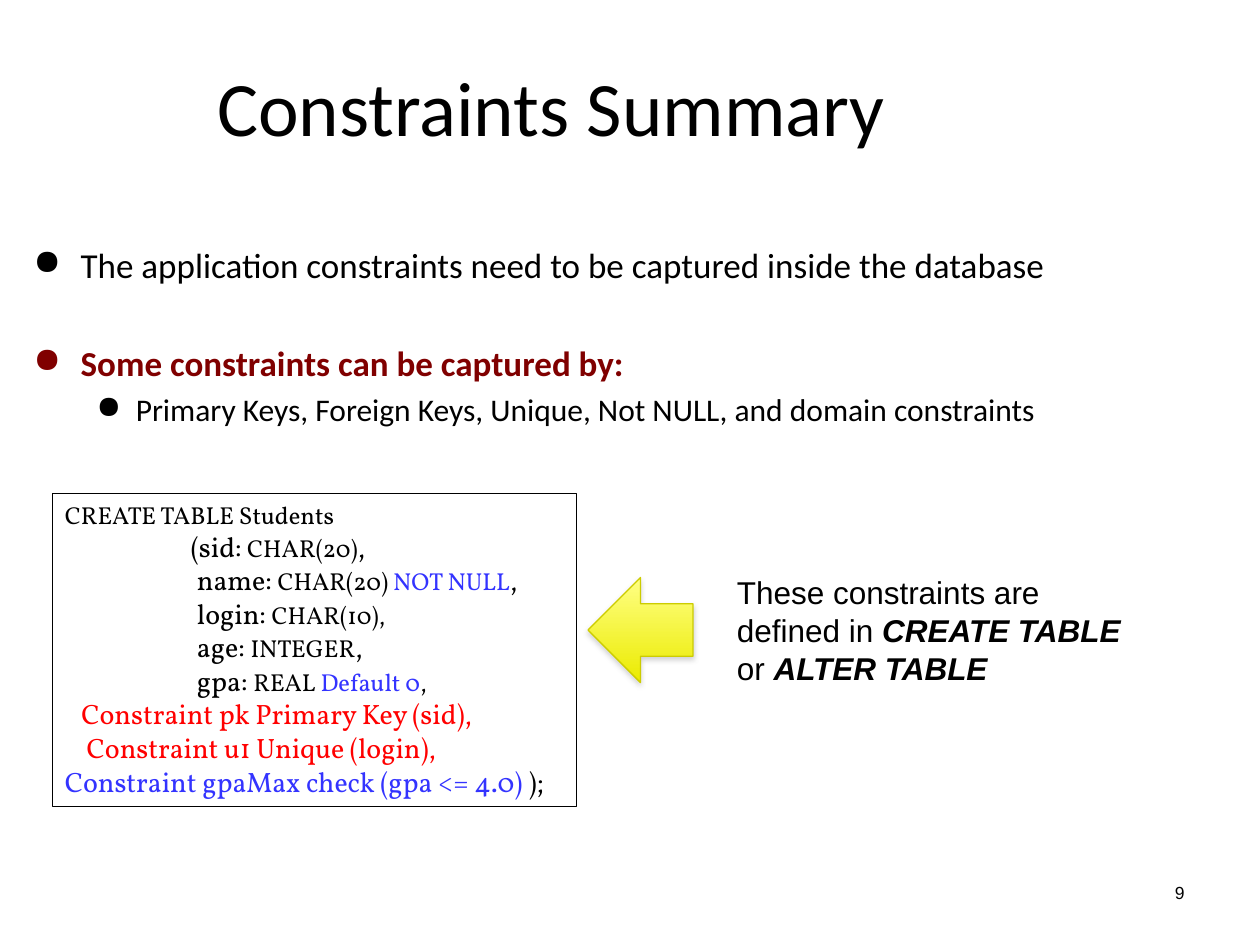
from dataclasses import dataclass

from lxml.etree import SubElement
from pptx import Presentation
from pptx.dml.color import RGBColor as Rgb
from pptx.enum.shapes import MSO_SHAPE as Shape
from pptx.enum.text import MSO_ANCHOR as Anchor, PP_ALIGN as Align
from pptx.oxml.ns import qn
from pptx.util import Pt


@dataclass(frozen=True)
class Theme:
    black: str = "000000"
    maroon: str = "800000"
    blue: str = "3333FF"
    red: str = "FF0000"
    pale: str = "FFFF85"
    gold: str = "EBEB00"
    edge: str = "CCCC00"
    shade: str = "808080"
    sans: str = "Calibri"
    plain: str = "Arial"
    serif: str = "Vollkorn"
    title: int = 44
    body: int = 20
    sub: int = 18
    code: int = 16
    small: int = 14
    page: int = 10


T = Theme()


def add_box(left, top, width, height, anchor=Anchor.TOP):
    box = slide.shapes.add_textbox(Pt(left), Pt(top), Pt(width), Pt(height))
    box.text_frame.word_wrap = True
    box.text_frame.vertical_anchor = anchor
    return box


def add_run(para, text, face, size, color=T.black, strong=False, slant=False):
    run = para.add_run()
    run.text = text
    font = run.font
    font.name, font.size = face, Pt(size)
    font.bold, font.italic = strong, slant
    font.color.rgb = Rgb.from_string(color)


deck = Presentation()
deck.slide_width, deck.slide_height = Pt(720), Pt(540)
slide = deck.slides.add_slide(deck.slide_layouts[6])

# Title and page number
labels = [
    ("Constraints Summary", (18, 9.5, 594, 102), T.sans, T.title, Align.CENTER),
    ("9", (516, 492, 168, 36), T.plain, T.page, Align.RIGHT),
]
for text, place, face, size, align in labels:
    para = add_box(*place, Anchor.MIDDLE).text_frame.paragraphs[0]
    para.alignment = align
    add_run(para, text, face, size)

# Bullets: text, level, margin, hang, space before, size, colour, bold
points = [
    ("The application constraints need to be captured inside the database",
     0, 27, 27, 2, T.body, T.black, False),
    ("Some constraints can be captured by:",
     0, 27, 27, 32, T.body, T.maroon, True),
    ("Primary Keys, Foreign Keys, Unique, Not NULL, and domain constraints",
     1, 58.5, 22.5, 4, T.sub, T.black, False),
]
frame = add_box(12, 135.5, 666, 152.5).text_frame
for i, (text, level, margin, hang, gap, size, color, strong) in enumerate(points):
    para = frame.add_paragraph() if i else frame.paragraphs[0]
    para.level, para.space_before = level, Pt(gap)
    props = para._p.get_or_add_pPr()
    props.set("marL", str(Pt(margin)))
    props.set("indent", str(-Pt(hang)))
    SubElement(props, qn("a:buChar"), char="●")
    add_run(para, text, T.sans, size, color, strong)

# SQL listing: left margin, then runs of text, size and colour
big, small = T.code, T.small
code = [
    (0, [("CREATE TABLE Students", small, T.black)]),
    (72, [("(sid: ", big, T.black), ("CHAR(20)", small, T.black),
          (",", big, T.black)]),
    (75.5, [("name: ", big, T.black), ("CHAR(20) ", small, T.black),
            ("NOT NULL", small, T.blue), (",", big, T.black)]),
    (75.5, [("login: ", big, T.black), ("CHAR(10),", small, T.black)]),
    (75.5, [("age: ", big, T.black), ("INTEGER", small, T.black),
            (",", big, T.black)]),
    (75.5, [("gpa: ", big, T.black), ("REAL ", small, T.black),
            ("Default 0", small, T.blue), (",", small, T.black)]),
    (9.5, [("Constraint pk Primary Key (sid),", big, T.red)]),
    (12.5, [("Constraint u1 Unique (login),", big, T.red)]),
    (0, [("Constraint gpaMax check (gpa <= 4.0) ", big, T.blue),
         (");", big, T.black)]),
]
panel = add_box(30, 282, 299.5, 179)
panel.line.color.rgb = Rgb.from_string(T.black)
panel.line.width = Pt(0.75)
frame = panel.text_frame
for i, (margin, runs) in enumerate(code):
    para = frame.add_paragraph() if i else frame.paragraphs[0]
    para._p.get_or_add_pPr().set("marL", str(Pt(margin)))
    for text, size, color in runs:
        add_run(para, text, T.serif, size, color)

# Arrow with a soft shadow
arrow = slide.shapes.add_shape(Shape.LEFT_ARROW, Pt(336), Pt(330), Pt(60), Pt(60))
arrow.fill.gradient()
arrow.fill.gradient_angle = 270
for stop, color, spot in zip(arrow.fill.gradient_stops, (T.pale, T.gold), (0, 1)):
    stop.color.rgb = Rgb.from_string(color)
    stop.position = spot
arrow.line.color.rgb = Rgb.from_string(T.edge)
arrow.line.width = Pt(0.75)
arrow.shadow.inherit = False
effects = arrow._element.spPr.find(qn("a:effectLst"))
shadow = SubElement(effects, qn("a:outerShdw"), blurRad=str(Pt(3.1)),
                    dist=str(Pt(1.8)), dir="5400000", rotWithShape="0")
tint = SubElement(shadow, qn("a:srgbClr"), val=T.shade)
SubElement(tint, qn("a:alpha"), val="35000")

# Remark beside the arrow
para = add_box(414, 324, 246, 73).text_frame.paragraphs[0]
remark = [
    ("These constraints are defined in ", False),
    ("CREATE TABLE ", True),
    ("or ", False),
    ("ALTER TABLE", True),
]
for text, strong in remark:
    add_run(para, text, T.plain, T.sub, strong=strong, slant=strong)

deck.save("out.pptx")
